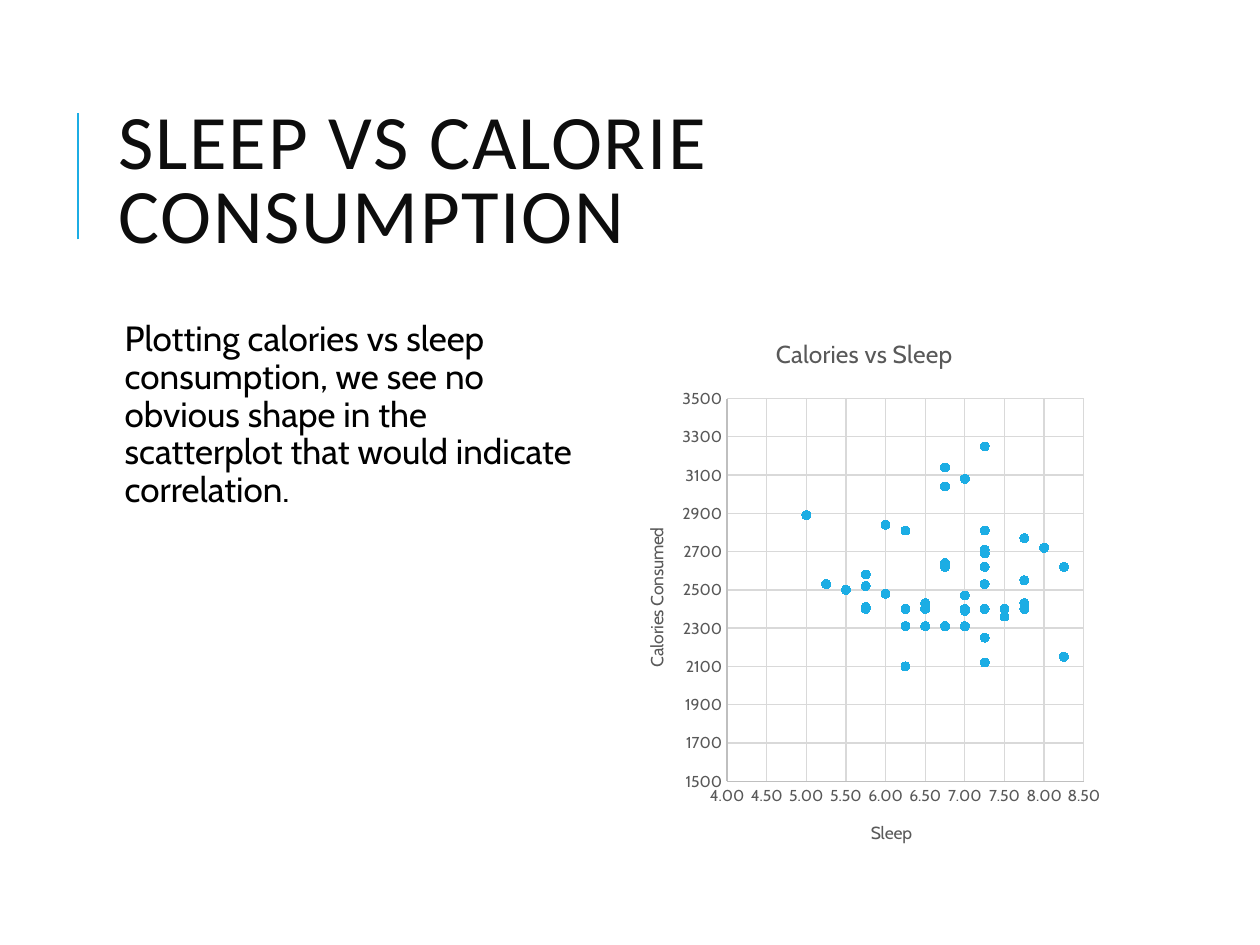
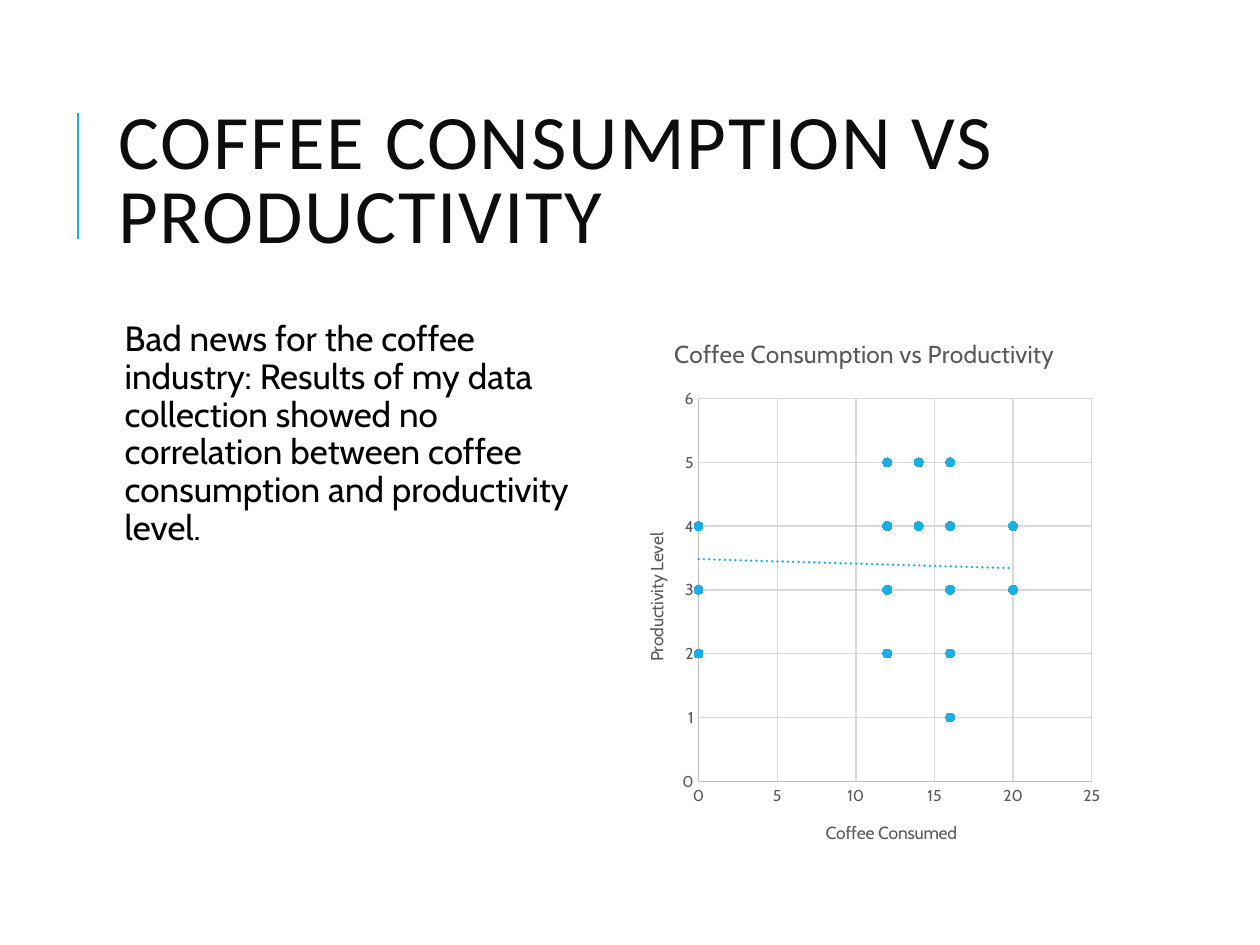
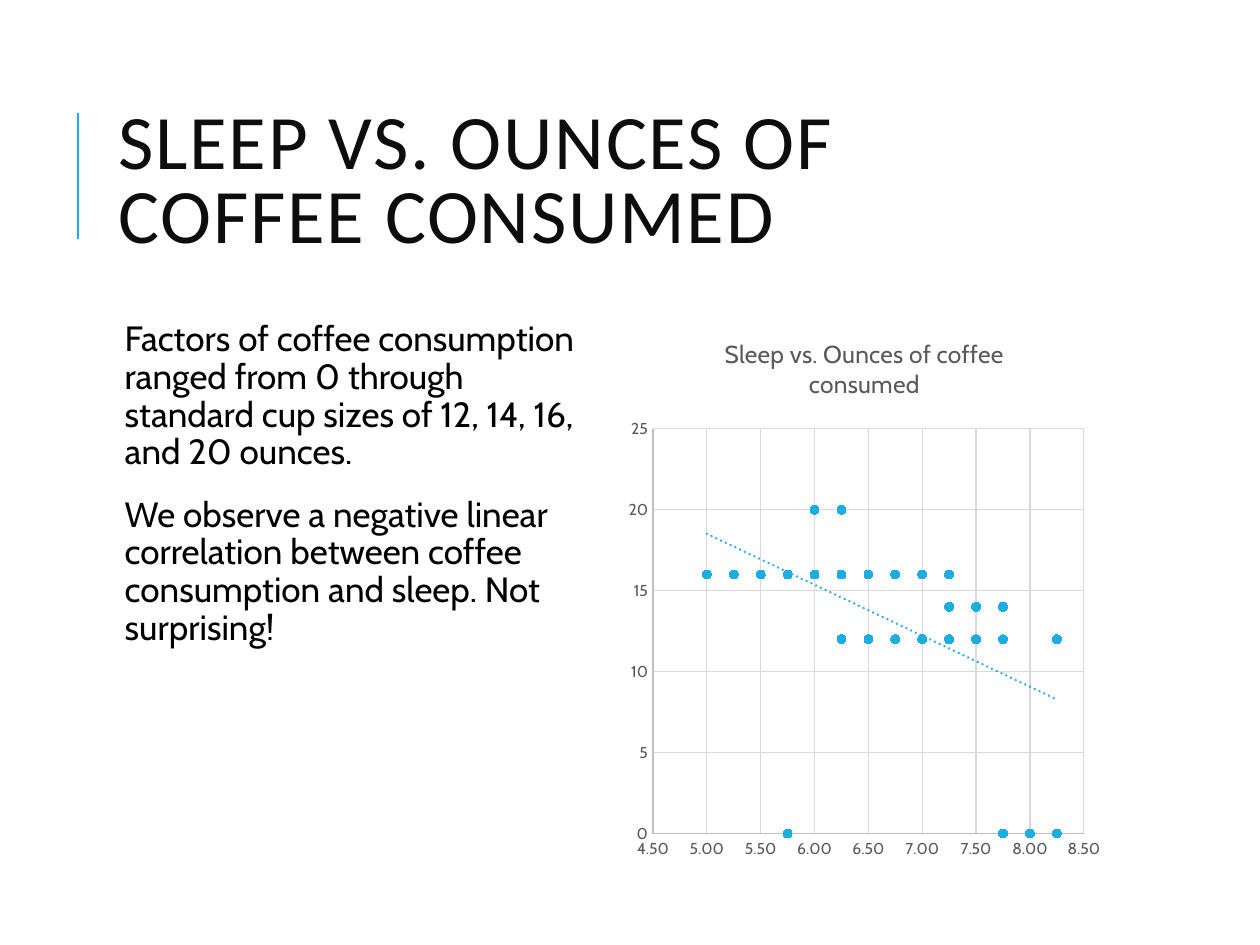
"""Build three slides that relate sleep, coffee, calories and productivity."""
from dataclasses import dataclass
from typing import Any

from lxml import etree
from pptx import Presentation
from pptx import util as u
from pptx.chart.data import XyChartData
from pptx.dml.color import RGBColor
from pptx.enum import chart as ce, shapes, text
from pptx.oxml import parse_xml
from pptx.oxml.ns import nsdecls, qn

PX = 9144
COLORS = {"accent": "1CADE4", "heading": "0D0D0D", "body": "000000",
          "label": "595959", "axis": "BFBFBF", "grid": "D9D9D9"}
HEADING_FONT, BODY_FONT = "Calibri", "Cabin"

SLEEP_HOURS = (
    6.25, 7, 6.75, 6.5, 7, 5.5, 6, 6.5, 6.75, 5.75, 7.25, 7, 6.25, 5.75, 7.25, 6.25,
    5.75, 7.25, 7.75, 6.75, 7.25, 6.5, 7.25, 6.75, 7.75, 8, 7, 7.25, 8.25, 5.25, 6, 7.5,
    8.25, 7, 6.25, 7.25, 5.75, 5, 7.75, 7.25, 6.5, 7.5, 7.5, 7.75, 6.75, 7.25)
CALORIES = (
    2310, 2310, 2310, 2310, 3080, 2500, 2480, 2400, 2640, 2520, 2810, 2390, 2810, 2410,
    2620, 2100, 2580, 2710, 2430, 3140, 2690, 2430, 2120, 3040, 2550, 2720, 2470, 2530,
    2620, 2530, 2840, 2360, 2150, 2400, 2400, 2400, 2400, 2890, 2770, 2250, 2400, 2400,
    2400, 2400, 2620, 3250)
COFFEE_OUNCES = (
    16, 12, 12, 16, 12, 16, 20, 12, 16, 16, 16, 12, 16, 16, 12, 20, 0, 12, 0, 16, 12, 16,
    14, 12, 0, 0, 16, 14, 12, 16, 16, 12, 0, 16, 12, 16, 16, 16, 12, 12, 16, 12, 14, 14,
    12, 12)
PRODUCTIVITY = (
    3, 4, 2, 2, 3, 3, 3, 5, 3, 3, 4, 4, 4, 3, 5, 4, 2, 3, 3, 3, 4, 3, 4, 3, 4, 3, 5, 4,
    5, 2, 3, 4, 4, 3, 4, 4, 3, 1, 3, 4, 2, 4, 5, 4, 2, 3)


@dataclass(frozen=True)
class Box:
    """A rectangle in px."""
    left: int
    top: int
    width: int
    height: int

    def emu(self) -> tuple[int, ...]:
        """Return the rectangle in EMU."""
        return tuple(side * PX for side in (self.left, self.top, self.width, self.height))


@dataclass(frozen=True)
class Scale:
    """Values and range of one chart axis."""
    values: tuple[float, ...]
    low: float
    high: float
    step: float
    number_format: str = "General"
    caption: str = ""


@dataclass(frozen=True)
class Finding:
    """Content of one slide."""
    heading: str
    remarks: tuple[str, ...]
    chart_title: str
    across: Scale
    up: Scale
    trend: bool = True


HEADING_BOX = Box(84, 64, 797, 164)
REMARKS_BOX = Box(84, 250, 390, 440)
CHART_BOX = Box(491, 250, 390, 440)
RAIL_X, RAIL_TOP, RAIL_BOTTOM = 62, 90, 190

FINDINGS = (
    Finding("SLEEP VS CALORIE CONSUMPTION",
            ("Plotting calories vs sleep consumption, we see no obvious shape in the "
             "scatterplot that would indicate correlation.",),
            "Calories vs Sleep",
            Scale(SLEEP_HOURS, 4, 8.5, 0.5, "0.00", "Sleep"),
            Scale(CALORIES, 1500, 3500, 200, caption="Calories Consumed"), trend=False),
    Finding("COFFEE CONSUMPTION VS PRODUCTIVITY",
            ("Bad news for the coffee industry: Results of my data collection showed no "
             "correlation between coffee consumption and productivity level.",),
            "Coffee Consumption vs Productivity",
            Scale(COFFEE_OUNCES, 0, 25, 5, caption="Coffee Consumed"),
            Scale(PRODUCTIVITY, 0, 6, 1, caption="Productivity Level")),
    Finding("SLEEP VS. OUNCES OF COFFEE CONSUMED",
            ("Factors of coffee consumption ranged from 0 through standard cup sizes of "
             "12, 14, 16, and 20 ounces.",
             "We observe a negative linear correlation between coffee consumption and "
             "sleep. Not surprising!"),
            "Sleep vs. Ounces of coffee consumed",
            Scale(SLEEP_HOURS, 4.5, 8.5, 0.5, "0.00"),
            Scale(COFFEE_OUNCES, 0, 25, 5)),
)


def assign(target: Any, formats: dict[str, Any]) -> None:
    """Set every named attribute on the target."""
    for name, value in formats.items():
        setattr(target, name, value)


def style_font(font: Any, size: int, color: str, face: str = BODY_FONT) -> None:
    """Give a font its size, colour and face."""
    assign(font, {"size": u.Pt(size), "name": face, "bold": False})
    font.color.rgb = RGBColor.from_string(COLORS[color])


def style_line(line: Any, color: str, width: float) -> None:
    """Give a line its colour and width."""
    line.color.rgb = RGBColor.from_string(COLORS[color])
    line.width = u.Pt(width)


def draw_rail(slide: Any) -> None:
    """Draw the accent line beside the heading."""
    rail = slide.shapes.add_connector(
        shapes.MSO_CONNECTOR.STRAIGHT,
        *(side * PX for side in (RAIL_X, RAIL_BOTTOM, RAIL_X, RAIL_TOP)))
    style_line(rail.line, "accent", 1.5)
    etree.SubElement(rail._element.spPr, qn("a:effectLst"))


def write_heading(slide: Any, heading: str) -> None:
    """Fill and place the title placeholder."""
    title = slide.shapes.title
    assign(title, dict(zip(("left", "top", "width", "height"), HEADING_BOX.emu())))
    assign(title.text_frame, {"text": heading, "word_wrap": True,
                              "auto_size": text.MSO_AUTO_SIZE.NONE,
                              "vertical_anchor": text.MSO_ANCHOR.MIDDLE})
    line = title.text_frame.paragraphs[0]
    assign(line, {"alignment": text.PP_ALIGN.LEFT, "line_spacing": 0.8})
    run = line.runs[0]
    style_font(run.font, 44, "heading", HEADING_FONT)
    run.font._element.set("spc", "100")


def write_remarks(slide: Any, remarks: tuple[str, ...]) -> None:
    """Write the remarks to the left of the chart."""
    frame = slide.shapes.add_textbox(*REMARKS_BOX.emu()).text_frame
    margins = ("margin_left", "margin_top", "margin_right", "margin_bottom")
    assign(frame, {"text": "\n".join(remarks), "word_wrap": True,
                   **dict.fromkeys(margins, 5 * PX)})
    for remark in frame.paragraphs:
        assign(remark, {"line_spacing": 0.9, "space_before": u.Pt(12),
                        "space_after": u.Pt(2)})
        remark._p.get_or_add_pPr().set("marL", str(10 * PX))
        style_font(remark.runs[0].font, 20, "body")


def write_caption(owner: Any, caption: str, size: int) -> None:
    """Title a chart or an axis."""
    frame = (owner.chart_title if hasattr(owner, "chart_title")
             else owner.axis_title).text_frame
    frame.text = caption
    style_font(frame.paragraphs[0].runs[0].font, size, "label")


def style_axis(axis: Any, scale: Scale) -> None:
    """Apply range, grid, labels and caption to an axis."""
    assign(axis, {"minimum_scale": scale.low, "maximum_scale": scale.high,
                  "major_unit": scale.step, "has_major_gridlines": True,
                  "major_tick_mark": ce.XL_TICK_MARK.NONE,
                  "minor_tick_mark": ce.XL_TICK_MARK.NONE,
                  "has_title": bool(scale.caption)})
    assign(axis.tick_labels, {"number_format": scale.number_format,
                              "number_format_is_linked": False})
    style_font(axis.tick_labels.font, 9, "label")
    style_line(axis.format.line, "axis", 0.75)
    style_line(axis.major_gridlines.format.line, "grid", 0.75)
    if scale.caption:
        write_caption(axis, scale.caption, 10)


def add_trend(series: Any) -> None:
    """Add a dotted linear trend line to a series."""
    trend = parse_xml(
        f'<c:trendline {nsdecls("c", "a")}><c:spPr><a:ln w="{u.Pt(1.5)}" cap="rnd">'
        f'<a:solidFill><a:srgbClr val="{COLORS["accent"]}"/></a:solidFill>'
        '<a:prstDash val="sysDot"/></a:ln></c:spPr><c:trendlineType val="linear"/>'
        '<c:dispRSqr val="0"/><c:dispEq val="0"/></c:trendline>')
    series._element.find(qn("c:xVal")).addprevious(trend)


def draw_scatter(slide: Any, finding: Finding) -> None:
    """Draw the scatter chart of a finding."""
    data = XyChartData()
    answers = data.add_series(finding.chart_title)
    for x, y in zip(finding.across.values, finding.up.values):
        answers.add_data_point(x, y)
    chart = slide.shapes.add_chart(ce.XL_CHART_TYPE.XY_SCATTER, *CHART_BOX.emu(), data).chart
    style_font(chart.font, 10, "body")
    assign(chart, {"has_legend": False, "has_title": True})
    write_caption(chart, finding.chart_title, 14)
    chart.chart_title.include_in_layout = False
    style_axis(chart.category_axis, finding.across)
    style_axis(chart.value_axis, finding.up)
    plot = chart.plots[0]
    plot.vary_by_categories = False
    series = plot.series[0]
    series.format.line.fill.background()
    assign(series.marker, {"style": ce.XL_MARKER_STYLE.CIRCLE, "size": 5})
    series.marker.format.fill.solid()
    series.marker.format.fill.fore_color.rgb = RGBColor.from_string(COLORS["accent"])
    style_line(series.marker.format.line, "accent", 0.75)
    if finding.trend:
        add_trend(series)


def main() -> None:
    """Build and save the presentation."""
    deck = Presentation()
    assign(deck, {"slide_width": 1000 * PX, "slide_height": 750 * PX})
    for finding in FINDINGS:
        slide = deck.slides.add_slide(deck.slide_layouts.get_by_name("Title Only"))
        draw_rail(slide)
        write_heading(slide, finding.heading)
        write_remarks(slide, finding.remarks)
        draw_scatter(slide, finding)
    deck.save("out.pptx")


if __name__ == "__main__":
    main()
